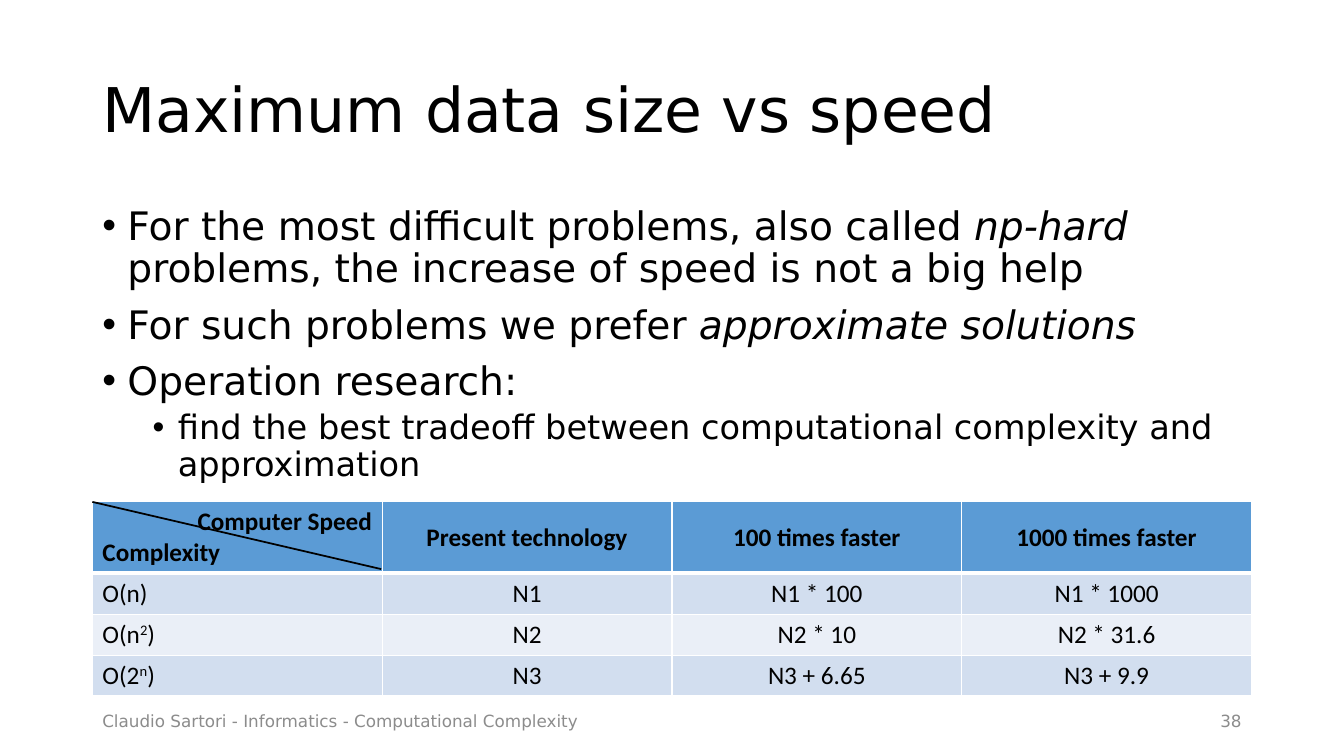
from dataclasses import dataclass
from lxml import etree
from pptx import Presentation, util as u
from pptx.dml.color import RGBColor
from pptx.enum import shapes, text
from pptx.oxml.ns import qn


@dataclass(frozen=True)
class Theme:
    sans: str = "DejaVu Sans"
    table: str = "Calibri"
    ink: str = "000000"
    gray: str = "8C8C8C"
    head: str = "5B9BD5"
    bands: tuple = ("D2DEEF", "EAEFF7")
    rule: str = "FFFFFF"
    title: int = 44
    body: int = 28
    sub: int = 24
    cell: int = 18
    foot: int = 12


T = Theme()
LEFT, CENTER, RIGHT = text.PP_ALIGN.LEFT, text.PP_ALIGN.CENTER, text.PP_ALIGN.RIGHT
MIDDLE, TOP = text.MSO_ANCHOR.MIDDLE, text.MSO_ANCHOR.TOP


def px(n):
    return u.Emu(n * 9525)


def apply(obj, vals):
    for key, val in vals.items():
        setattr(obj, key, val)


def write(para, words, look, color=T.ink, mark="italic", **form):
    apply(para, form)
    for i, part in enumerate(words.split("|")):
        run = para.add_run()
        run.text = part
        apply(run.font, look)
        run.font.color.rgb = RGBColor.from_string(color)
        if i % 2 and mark == "italic":
            run.font.italic = True
        elif i % 2:
            run.font._element.set("baseline", "30000")


def frame(slide, box, anchor=MIDDLE):
    area = slide.shapes.add_textbox(*map(px, box)).text_frame
    apply(area, {"word_wrap": True, "vertical_anchor": anchor})
    return area


def line(slide, box, words, size, color=T.ink, **form):
    look = {"name": T.sans, "size": u.Pt(size)}
    write(frame(slide, box).paragraphs[0], words, look, color, **form)


def bullets(slide, box, items):
    area = frame(slide, box, TOP)
    for i, (level, words) in enumerate(items):
        para = area.paragraphs[0] if i == 0 else area.add_paragraph()
        look = {"name": T.sans, "size": u.Pt(T.sub if level else T.body)}
        write(para, words, look, level=level, line_spacing=0.9,
              space_before=u.Pt(5 if level else 10))
        prop = para._p.get_or_add_pPr()
        prop.set("marL", str(px(24 + 48 * level)))
        prop.set("indent", str(-px(24)))
        etree.SubElement(prop, qn("a:buFont")).set("typeface", "Arial")
        etree.SubElement(prop, qn("a:buChar")).set("char", "•")


def border(cell, row):
    prop = cell._tc.get_or_add_tcPr()
    widths = {"L": 1, "R": 1, "T": 3 if row == 1 else 1, "B": 3 if row == 0 else 1}
    for side, width in widths.items():
        edge = etree.SubElement(prop, qn("a:ln" + side), w=str(u.Pt(width)))
        fill = etree.SubElement(edge, qn("a:solidFill"))
        etree.SubElement(fill, qn("a:srgbClr"), val=T.rule)


def grid(slide, box, rows, heights):
    left, top, width, height = box
    count = len(rows[0])
    table = slide.shapes.add_table(len(rows), count, *map(px, box)).table
    apply(table, {"first_row": False, "horz_banding": False})
    for col in table.columns:
        col.width = px(width // count)
    for r, row in enumerate(rows):
        table.rows[r].height = px(heights[r])
        for c, words in enumerate(row):
            cell = table.cell(r, c)
            border(cell, r)
            cell.fill.solid()
            shade = T.bands[(r - 1) % 2] if r else T.head
            cell.fill.fore_color.rgb = RGBColor.from_string(shade)
            cell.vertical_anchor = MIDDLE if c else TOP
            look = {"name": T.table, "size": u.Pt(T.cell), "bold": r == 0}
            lines = words.split("\n")
            for i, words in enumerate(lines):
                para = cell.text_frame.paragraphs[0] if i == 0 else cell.text_frame.add_paragraph()
                side = CENTER if c else RIGHT if i < len(lines) - 1 else LEFT
                write(para, words, look, mark="super", alignment=side)
    slash = slide.shapes.add_connector(
        shapes.MSO_CONNECTOR.STRAIGHT, px(left), px(top),
        px(left + width // count - 1), px(top + heights[0] - 4))
    slash.line.width = u.Pt(1.25)
    slash.line.color.rgb = RGBColor.from_string(T.ink)
    etree.SubElement(slash._element.spPr, qn("a:effectLst"))


def footer(slide, box, credit, number):
    left, top, width, height = box
    split = 768
    line(slide, (left, top, split, height), credit, T.foot, T.gray)
    line(slide, (left + width - 288, top, 288, height), number, T.foot, T.gray,
         alignment=RIGHT)


def main():
    deck = Presentation()
    apply(deck, {"slide_width": px(1280), "slide_height": px(720)})
    slide = deck.slides.add_slide(deck.slide_layouts[6])
    left, width = 88, 1104
    line(slide, (left, 38, width, 139), "Maximum data size vs speed", T.title,
         line_spacing=0.9)
    bullets(slide, (left, 192, width, 457), [
        (0, "For the most difficult problems, also called |np-hard| problems, "
            "the increase of speed is not a big help"),
        (0, "For such problems we prefer |approximate solutions"),
        (0, "Operation research:"),
        (1, "find the best tradeoff between computational complexity and approximation"),
    ])
    grid(slide, (left, 478, width, 185), [
        ("Computer Speed\nComplexity", "Present technology", "100 times faster",
         "1000 times faster"),
        ("O(n)", "N1", "N1 * 100", "N1 * 1000"),
        ("O(n|2|)", "N2", "N2 * 10", "N2 * 31.6"),
        ("O(2|n|)", "N3", "N3 + 6.65", "N3 + 9.9"),
    ], (68, 39, 39, 39))
    footer(slide, (left, 667, width, 38),
           "Claudio Sartori - Informatics - Computational Complexity", "38")
    deck.save("out.pptx")


if __name__ == "__main__":
    main()
